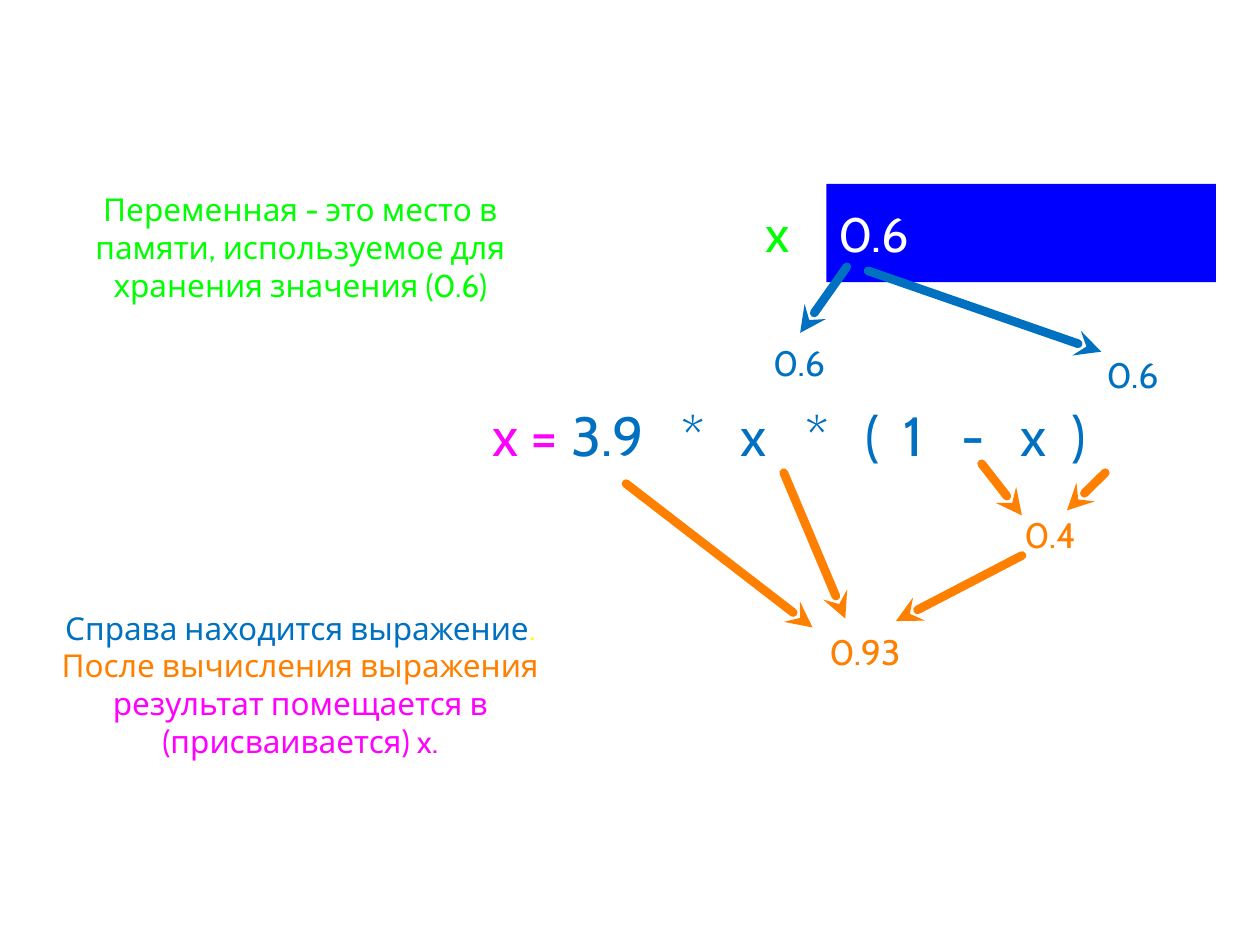
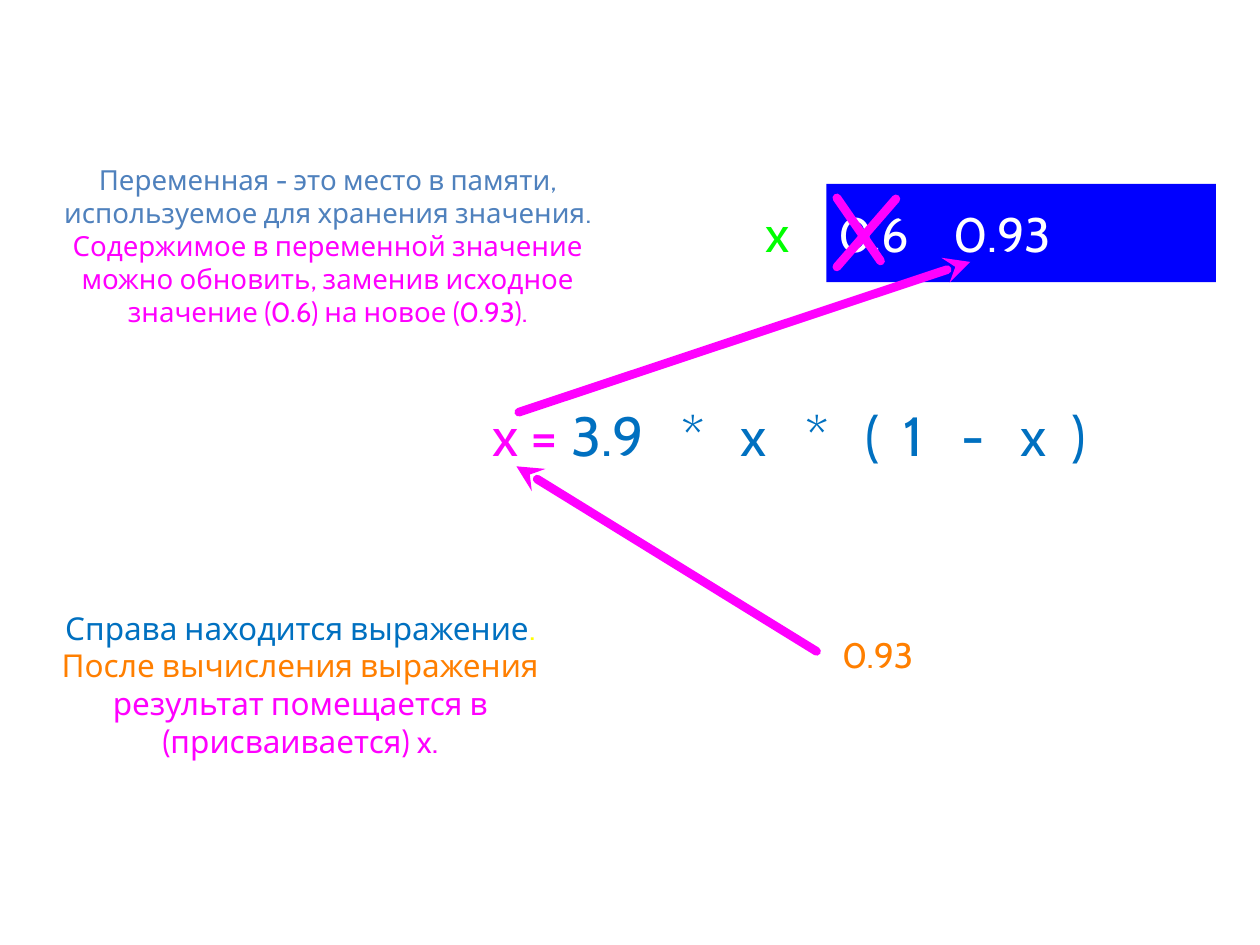
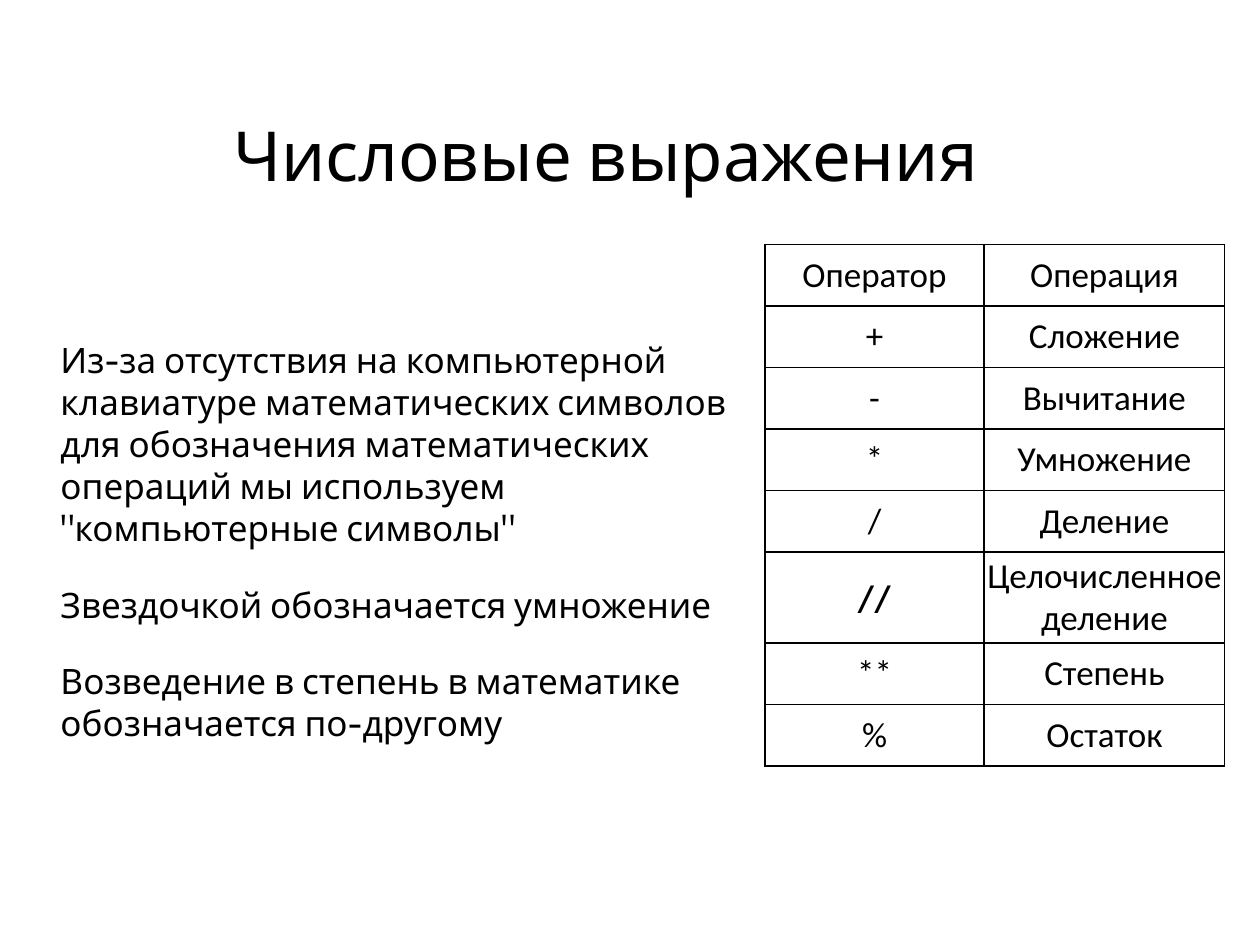
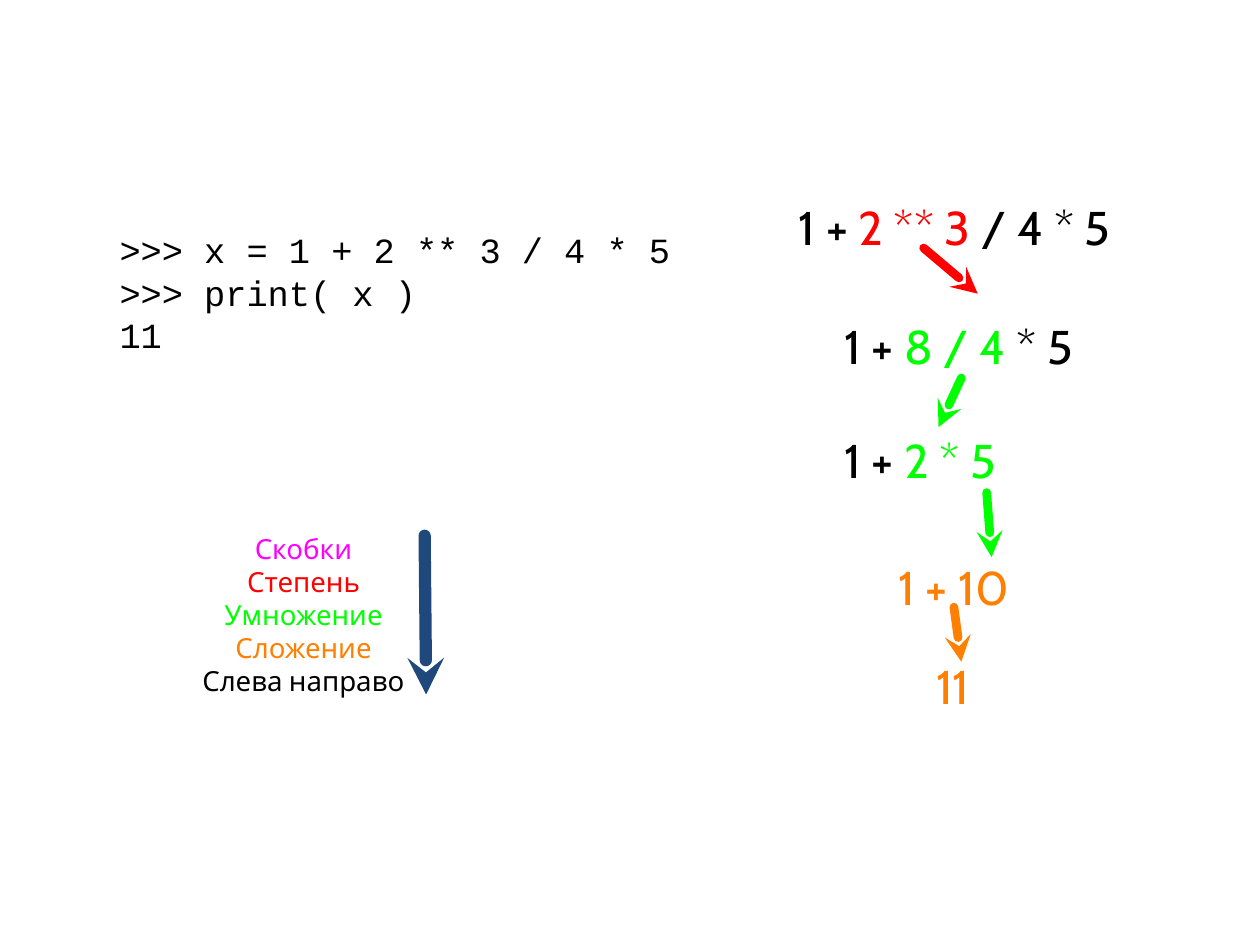
from collections import namedtuple

from lxml.etree import SubElement
from pptx import Presentation
from pptx.dml.color import RGBColor
from pptx.enum.shapes import MSO_CONNECTOR as Connector, MSO_SHAPE as Preset
from pptx.enum.text import MSO_ANCHOR as Anchor, MSO_AUTO_SIZE as AutoSize, PP_ALIGN as Align
from pptx.oxml.ns import qn
from pptx.util import Cm, Pt

BLACK = RGBColor(0x00, 0x00, 0x00)
WHITE = RGBColor(0xFF, 0xFF, 0xFF)
MEMORY_BLUE = RGBColor(0x00, 0x00, 0xFF)
BLUE = RGBColor(0x00, 0x70, 0xC0)
SOFT_BLUE = RGBColor(0x4F, 0x81, 0xBD)
NAVY = RGBColor(0x1F, 0x49, 0x7D)
MAGENTA = RGBColor(0xFF, 0x00, 0xFF)
ORANGE = RGBColor(0xFF, 0x7F, 0x00)
GREEN = RGBColor(0x00, 0xFF, 0x00)
RED = RGBColor(0xFF, 0x00, 0x00)
YELLOW = RGBColor(0xFF, 0xFF, 0x00)

FONT, TABLE_FONT, CODE_FONT = "Cabin", "Calibri", "Courier New"
TITLE_ONLY, BLANK = 5, 6
THIN_INSET = 0.05

Box = namedtuple("Box", "left top width height")

DIAGRAM_BOX = Box(9.93, 3.71, 14.58, 9.91)
ASSIGNMENT_BOX = Box(0.91, 12.5, 10.29, 2.59)

ASSIGNMENT_NOTE = [
    ("Справа находится выражение", BLUE),
    (". ", YELLOW),
    ("После вычисления выражения ", ORANGE),
    ("результат помещается в (присваивается) x.", MAGENTA),
]
EXPRESSION = [("x = ", MAGENTA), ("3.9\t*\tx\t*\t(\t1\t-\tx\t)", BLUE)]
EXPRESSION_TABS = (3.81, 5.0, 6.31, 7.52, 8.29, 9.45, 10.64, 11.67)

OPERATORS = [
    ("Оператор", "Операция"),
    ("+", "Сложение"),
    ("-", "Вычитание"),
    ("*", "Умножение"),
    ("/", "Деление"),
    ("//", "Целочисленное деление"),
    ("**", "Степень"),
    ("%", "Остаток"),
]
SYMBOL_NOTES = [
    "Из-за отсутствия на компьютерной клавиатуре математических символов для обозначения "
    "математических операций мы используем \"компьютерные символы\"",
    "Звездочкой обозначается умножение",
    "Возведение в степень в математике обозначается по-другому",
]


def place(region, left, top, width, height):
    """Turn an offset within a region into a box on the slide."""
    return Box(region.left + left, region.top + top, width, height)


def lengths(box):
    """Return the four sides of a box as Cm lengths."""
    return [Cm(value) for value in box]


def set_frame(text_frame, inset=0, left_inset=None):
    """Centre a frame vertically, wrap it and set its insets."""
    text_frame.word_wrap = True
    text_frame.auto_size = AutoSize.NONE
    text_frame.vertical_anchor = Anchor.MIDDLE
    text_frame.margin_left = Cm(inset if left_inset is None else left_inset)
    text_frame.margin_top = text_frame.margin_right = text_frame.margin_bottom = Cm(inset)


def set_font(font, size, color, name=FONT):
    """Set the size, colour and typeface of a font."""
    font.size, font.name = Pt(size), name
    font.color.rgb = color


def add_tabs(paragraph, stops):
    """Give a paragraph left tab stops at distances in centimetres."""
    tab_list = SubElement(paragraph._p.get_or_add_pPr(), qn("a:tabLst"))
    for stop in stops:
        SubElement(tab_list, qn("a:tab"), pos=str(Cm(stop)), algn="l")


def write(text_frame, paragraphs, size, align=Align.LEFT, font=FONT, tabs=(), gap=0):
    """Write paragraphs given as lists of (text, colour) runs."""
    for index, runs in enumerate(paragraphs):
        paragraph = text_frame.add_paragraph() if index else text_frame.paragraphs[0]
        paragraph.alignment = align
        if tabs:
            add_tabs(paragraph, tabs)
        if index and gap:
            paragraph.space_before = Pt(gap)
        for text, color in runs:
            run = paragraph.add_run()
            run.text = text
            set_font(run.font, size, color, font)


def add_text(shapes, box, paragraphs, size, inset=0, left_inset=None, **style):
    """Add a text box holding coloured paragraphs."""
    text_frame = shapes.add_textbox(*lengths(box)).text_frame
    set_frame(text_frame, inset, left_inset)
    write(text_frame, paragraphs, size, **style)


def add_line(shapes, region, points, color, width=5, arrow=True):
    """Add a round line within a region, with its arrowhead at the first point."""
    x1, y1, x2, y2 = points
    connector = shapes.add_connector(
        Connector.STRAIGHT,
        Cm(region.left + x1), Cm(region.top + y1), Cm(region.left + x2), Cm(region.top + y2))
    connector.line.width = Pt(width)
    connector.line.color.rgb = color
    properties = connector._element.spPr
    outline = properties.find(qn("a:ln"))
    outline.set("cap", "rnd")
    if arrow:
        SubElement(outline, qn("a:headEnd"), type="stealth")
    SubElement(properties, qn("a:effectLst"))


def add_note(slide, box, runs, size=18):
    """Add a centred explanation."""
    add_text(slide.shapes, box, [runs], size, align=Align.CENTER)


def add_variable(slide, box, contents):
    """Add the name x and the memory cell with its contents."""
    add_text(slide.shapes, place(box, 0, 0.3, 0.69, 1.35), [[("x", GREEN)]], 29.2,
             align=Align.CENTER)
    cell_box = place(box, 1.32, 0, box.width - 1.32, box.height)
    cell = slide.shapes.add_shape(Preset.RECTANGLE, *lengths(cell_box))
    cell.shadow.inherit = False
    cell.fill.solid()
    cell.fill.fore_color.rgb = MEMORY_BLUE
    cell.line.fill.background()
    set_frame(cell.text_frame, left_inset=0.24)
    write(cell.text_frame, [[(contents, WHITE)]], 27.6, tabs=(2.33,) if "\t" in contents else ())


def add_diagram(slide, box, contents, values, arrows):
    """Add the memory cell, the expression, its values and the arrows between them."""
    add_text(slide.shapes, place(box, 0, 4.34, 14.55, 1.42), [EXPRESSION], 31.5,
             tabs=EXPRESSION_TABS)
    add_variable(slide, place(box, 5.41, 0, box.width - 5.41, 1.98), contents)
    for text, color, left, top, width in values:
        add_text(slide.shapes, place(box, left, top, width, 0.97), [[(text, color)]], 20.2,
                 align=Align.CENTER)
    for color, group in arrows:
        for points in group:
            add_line(slide.shapes, box, points, color)


def build_evaluation(slide):
    """Show how the right-hand side is calculated."""
    add_diagram(
        slide, DIAGRAM_BOX, "0.6",
        values=[
            ("0.6", BLUE, 5.23, 3.12, 1.9),
            ("0.6", BLUE, 11.96, 3.35, 1.88),
            ("0.4", ORANGE, 10.54, 6.58, 1.4),
            ("0.93", ORANGE, 6.5, 8.94, 2.01),
        ],
        arrows=[
            (BLUE, [(6.2, 3, 7.14, 1.67), (12.27, 3.38, 7.57, 1.75)]),
            (ORANGE, [
                (6.45, 8.94, 2.69, 6.04),
                (7.11, 8.76, 5.87, 5.82),
                (8.13, 8.81, 10.67, 7.49),
                (11.58, 6.58, 12.35, 5.82),
                (10.67, 6.68, 9.86, 5.64),
            ]),
        ])
    add_note(slide, ASSIGNMENT_BOX, ASSIGNMENT_NOTE)
    add_note(slide, Box(0.91, 4.09, 10.29, 1.78), [
        ("Переменная - это место в памяти, используемое для хранения значения (0.6)", GREEN)])


def build_assignment(slide):
    """Show the result replacing the old value of the variable."""
    add_diagram(
        slide, DIAGRAM_BOX, "0.6\t0.93",
        values=[("0.93", ORANGE, 6.71, 8.99, 2.11)],
        arrows=[(MAGENTA, [(0.48, 5.69, 6.53, 9.42), (9.63, 1.57, 0.53, 4.6)])])
    for stroke in [(8.13, 0.3, 6.94, 1.67), (6.94, 0.28, 7.82, 1.55)]:
        add_line(slide.shapes, DIAGRAM_BOX, stroke, MAGENTA, arrow=False)
    add_note(slide, Box(0.91, 2.84, 11.4, 4.22), [
        ("Переменная - это место в памяти, используемое для хранения значения. ", SOFT_BLUE),
        ("Содержимое в переменной значение можно обновить, заменив исходное значение (0.6) "
         "на новое (0.93).", MAGENTA)], size=15.8)
    add_note(slide, ASSIGNMENT_BOX, ASSIGNMENT_NOTE)


def set_title(slide, box, text):
    """Move and format the title placeholder."""
    title = slide.shapes.title
    title.left, title.top, title.width, title.height = lengths(box)
    set_frame(title.text_frame, THIN_INSET)
    write(title.text_frame, [[(text, BLACK)]], 39.4, align=Align.CENTER)


def set_borders(cell):
    """Draw thin black borders around a table cell."""
    properties = cell._tc.get_or_add_tcPr()
    for index, side in enumerate(("a:lnL", "a:lnR", "a:lnT", "a:lnB")):
        border = SubElement(properties, qn(side), w=str(Pt(1)))
        properties.insert(index, border)
        fill = SubElement(border, qn("a:solidFill"))
        SubElement(fill, qn("a:srgbClr"), val=str(BLACK))


def add_operator_table(slide, box):
    """Add the table of operators and operations."""
    table = slide.shapes.add_table(len(OPERATORS), 2, *lengths(box)).table
    table.first_row = table.horz_banding = False
    table.columns[0].width = Cm(4.42)
    table.columns[1].width = Cm(box.width - 4.42)
    for row, texts in zip(table.rows, OPERATORS):
        row.height = Cm(1.24)
        for cell, text in zip(row.cells, texts):
            cell.fill.background()
            cell.vertical_anchor = Anchor.MIDDLE
            cell.margin_left = cell.margin_right = Cm(THIN_INSET)
            cell.margin_top = cell.margin_bottom = Cm(THIN_INSET)
            write(cell.text_frame, [[(text, BLACK)]], 20, align=Align.CENTER,
                  font=FONT if text == "//" else TABLE_FONT)
            set_borders(cell)


def build_operators(slide):
    """Show the numeric operators."""
    set_title(slide, Box(1.32, 1.32, 21.77, 3.58), "Числовые выражения")
    add_text(slide.shapes, Box(0, 6.45, 15.42, 8.92),
             [[(note, BLACK)] for note in SYMBOL_NOTES], 20,
             inset=THIN_INSET, left_inset=1.22, gap=19.7)
    add_operator_table(slide, Box(15.42, 4.93, 9.27, 9.92))


def add_calculation(slide, box):
    """Add the steps of the calculation and the arrows between them."""
    steps = [
        (0, 0, 7.59, [("1 + ", BLACK), ("2 ** 3", RED), (" / 4 * 5", BLACK)]),
        (0.92, 2.41, 5.89, [("1 + ", BLACK), ("8 / 4", GREEN), (" * 5", BLACK)]),
        (0.92, 4.7, 5.49, [("1 + ", BLACK), ("2 * 5", GREEN)]),
        (2.01, 7.26, 2.69, [("1 + 10", ORANGE)]),
        (2.77, 9.27, 1.14, [("11", ORANGE)]),
    ]
    arrows = [
        (RED, (3.61, 1.98, 2.52, 1.06)),
        (GREEN, (2.82, 4.67, 3.28, 3.68)),
        (GREEN, (3.89, 7.29, 3.79, 5.99)),
        (ORANGE, (3.28, 9.4, 3.13, 8.3)),
    ]
    for left, top, width, runs in steps:
        add_text(slide.shapes, place(box, left, top, width, 1.24), [runs], 27)
    for color, points in arrows:
        add_line(slide.shapes, box, points, color)


def add_precedence(slide, box):
    """Add the grouped list of operations in order of precedence."""
    shapes = slide.shapes.add_group_shape().shapes
    levels = [("Скобки", MAGENTA), ("Степень", RED), ("Умножение", GREEN),
              ("Сложение", ORANGE), ("Слева направо", BLACK)]
    add_text(shapes, box, [[level] for level in levels], 15.8, align=Align.CENTER)
    add_line(shapes, box, (4.68, 3.43, 4.65, 0.23), NAVY, width=7)


def build_precedence(slide):
    """Show the order in which operators are applied."""
    add_calculation(slide, Box(16.1, 3.94, 7.59, 10.51))
    code = [">>> x = 1 + 2 ** 3 / 4 * 5", ">>> print( x )", "11"]
    add_text(slide.shapes, Box(2.41, 3.58, 11.48, 4.62), [[(line, BLACK)] for line in code],
             20.2, font=CODE_FONT)
    add_precedence(slide, Box(3.91, 10.57, 4.42, 3.63))


def main():
    """Build the four slides and save them."""
    presentation = Presentation()
    presentation.slide_width, presentation.slide_height = Cm(25.4), Cm(19.05)
    pages = [(BLANK, build_evaluation), (BLANK, build_assignment),
             (TITLE_ONLY, build_operators), (BLANK, build_precedence)]
    for layout, build in pages:
        build(presentation.slides.add_slide(presentation.slide_layouts[layout]))
    presentation.save("out.pptx")


if __name__ == "__main__":
    main()
